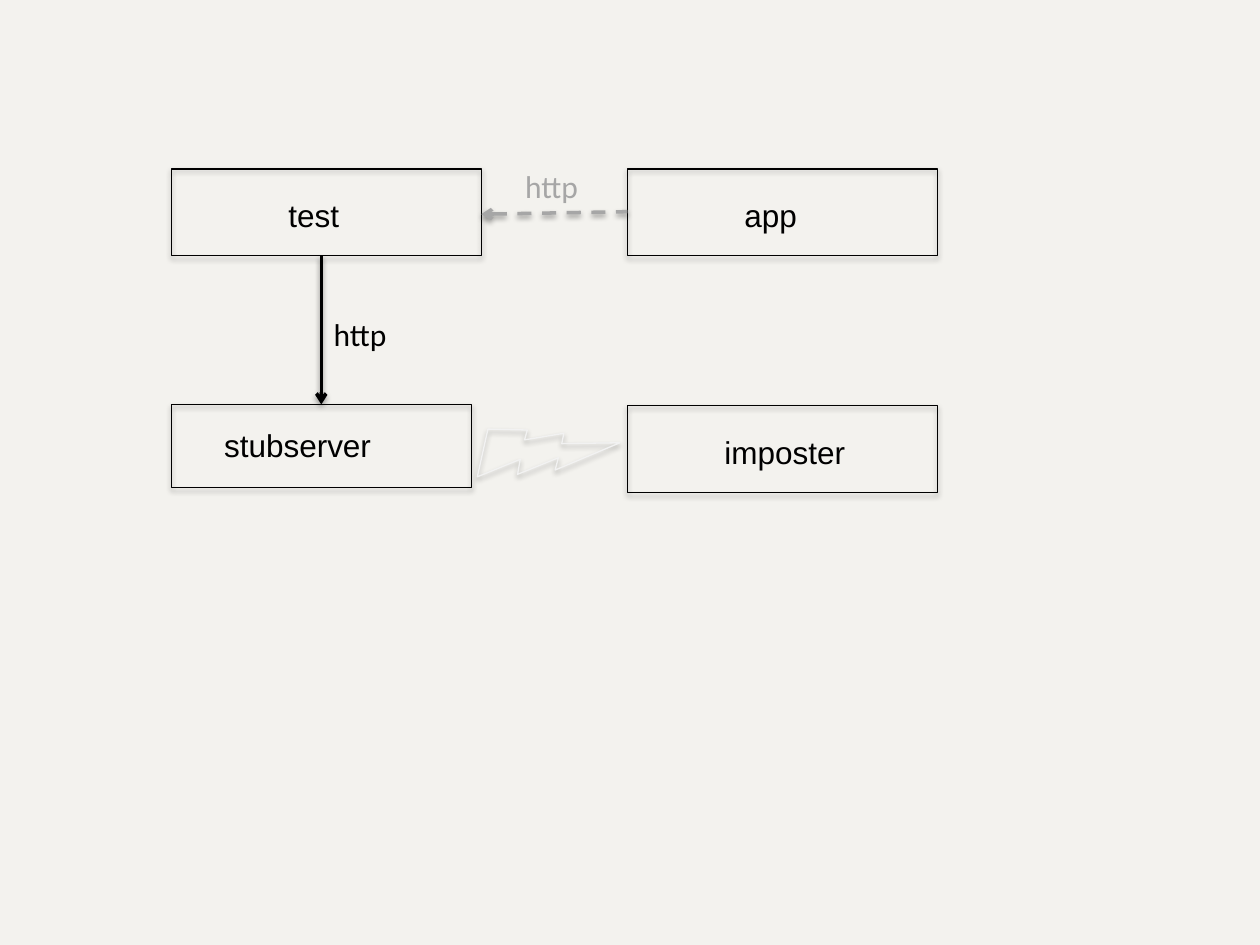
import pptx
import pptx.util
import pptx.dml.color
import pptx.enum.dml
import pptx.enum.shapes
import pptx.enum.text
import pptx.oxml
import pptx.oxml.ns
import lxml.etree

Pt = pptx.util.Pt
Kind = pptx.enum.shapes.MSO_SHAPE
Dash = pptx.enum.dml.MSO_LINE
Fit = pptx.enum.text.MSO_AUTO_SIZE


class Theme:
    back, ink, grey, pale = "F3F2EE", "000000", "A6A6A6", "F2F2F2"
    size, thin, thick = Pt(18), Pt(0.75), Pt(2)
    main, label = "Arial", "Calibri"
    shade = {"blurRad": Pt(3.1), "dir": 5400000, "rotWithShape": 0}


# Grid of 100 columns by 75 rows
deck = pptx.Presentation()
deck.slide_width = pptx.util.Inches(10)
deck.slide_height = pptx.util.Inches(7.5)
cell = deck.slide_width / 100


def grid(*spans):
    return [round(span * cell) for span in spans]


def color(code):
    return pptx.dml.color.RGBColor.from_string(code)


def apply(item, values):
    for name, value in values.items():
        setattr(item, name, value)


def shade(shape, dist, alpha):
    props = shape._element.spPr
    for old in props.findall(pptx.oxml.ns.qn("a:effectLst")):
        props.remove(old)
    parent = props
    for tag, values in (("effectLst", {}),
                        ("outerShdw", {**Theme.shade, "dist": Pt(dist)}),
                        ("srgbClr", {"val": Theme.ink}),
                        ("alpha", {"val": alpha * 1000})):
        parent = lxml.etree.SubElement(parent, pptx.oxml.ns.qn("a:" + tag))
        for name, value in values.items():
            parent.set(name, str(int(value)) if name != "val" else str(value))


def outline(shapes, kind, box, tint):
    shape = shapes.add_shape(kind, *grid(*box))
    shape.fill.background()
    shape.line.color.rgb = color(tint)
    shape.line.width = Theme.thin
    shade(shape, 1.8, 35)
    return shape


def write(shapes, text, box, font, tint, wrap):
    frame = shapes.add_textbox(*grid(*box)).text_frame
    apply(frame, {"word_wrap": wrap, "auto_size": Fit.SHAPE_TO_FIT_TEXT})
    run = frame.paragraphs[0].add_run()
    run.text = text
    apply(run.font, {"name": font, "size": Theme.size})
    run.font.color.rgb = color(tint)


# A framed name; the text sits at an offset from the frame's corner
def node(slide, text, box, shift, span):
    group = slide.shapes.add_group_shape()
    outline(group.shapes, Kind.RECTANGLE, box, Theme.ink)
    place = (box[0] + shift[0], box[1] + shift[1], *span)
    write(group.shapes, text, place, Theme.main, Theme.ink, True)


# An arrow with its label at an offset from the start
def link(slide, start, stop, shift, tint, end, dash=None):
    line = slide.shapes.add_connector(
        pptx.enum.shapes.MSO_CONNECTOR.STRAIGHT, *grid(*start, *stop))
    line.line.color.rgb = color(tint)
    apply(line.line, {"width": Theme.thick, "dash_style": dash})
    tip = lxml.etree.SubElement(line.line._get_or_add_ln(),
                                pptx.oxml.ns.qn("a:" + end))
    tip.set("type", "arrow")
    shade(line, 1.6, 38)
    place = (start[0] + shift[0], start[1] + shift[1], 6.3, 4)
    write(slide.shapes, "http", place, Theme.label, tint, False)


def diagram(slide, box):
    left, top, wide, high = box
    right, low, tall = left + 36.2, top + 18.8, 6.9
    span = wide - 36.2
    # Nodes
    for text, place, shift, size in (
            ("test", (left, top, span, tall), (8.3, 1.7), (18.2, 4)),
            ("stubserver", (left, low - 0.1, 23.8, 6.6), (3.2, 1.2), (17.5, 4)),
            ("app", (right, top, span, tall), (8.3, 1.7), (18.2, 4)),
            ("imposter", (right, low, span, tall), (6.7, 1.7), (18.2, 4))):
        node(slide, text, place, shift, size)
    # Bolt between the lower nodes
    bolt = outline(slide.shapes, Kind.LIGHTNING_BOLT,
                   (left + 24.8, low - 0.7, 9, 9), Theme.pale)
    bolt.rotation = 307.2
    # Links
    link(slide, (left + span, top + 3.6), (right, top + 3.4), (2.5, -4.2),
         Theme.grey, "headEnd", Dash.DASH)
    link(slide, (left + 11.9, top + tall), (left + 11.9, low - 0.1), (0, 4.2),
         Theme.ink, "tailEnd")


slide = deck.slides.add_slide(deck.slide_layouts[6])
slide.background.fill.solid()
slide.background.fill.fore_color.rgb = color(Theme.back)
diagram(slide, (13.6, 13.4, 60.8, 25.7))
deck.save("out.pptx")
